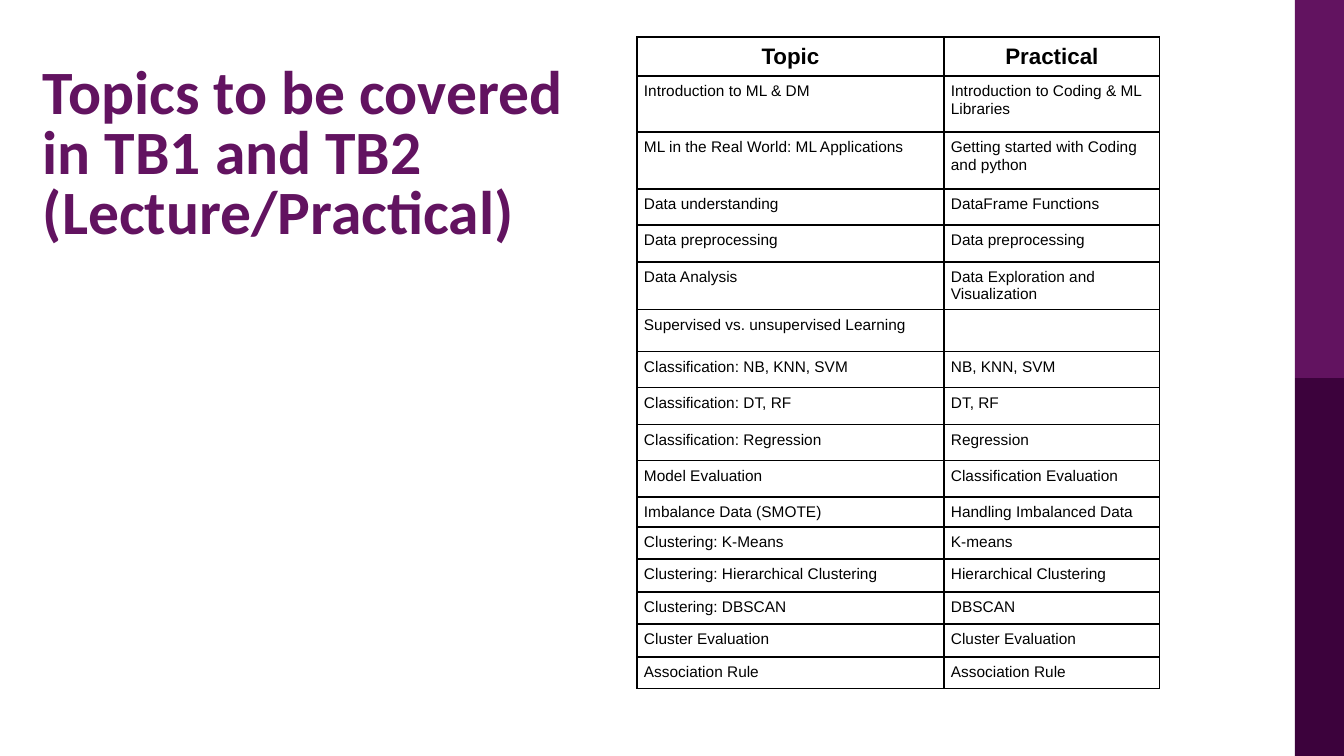
"""Build the slide listing lecture topics and practicals."""
from lxml import etree
from pptx import Presentation
from pptx import util as u
from pptx.dml.color import RGBColor
from pptx.enum import shapes, text
from pptx.oxml.ns import qn

HEADING = "Topics to be covered in TB1 and TB2 (Lecture/Practical)"
HEADERS = ("Topic", "Practical")
TB1 = [
    (39, *HEADERS),
    (56, "Introduction to ML & DM", "Introduction to Coding & ML Libraries"),
    (57, "ML in the Real World: ML Applications", "Getting started with Coding and python"),
    (36, "Data understanding", "DataFrame Functions"),
    (37, "Data preprocessing", "Data preprocessing"),
    (48, "Data Analysis", "Data Exploration and Visualization"),
    (42, "Supervised vs. unsupervised Learning", ""),
    (36, "Classification: NB, KNN, SVM", "NB, KNN, SVM"),
    (37, "Classification: DT, RF", "DT, RF"),
    (36, "Classification: Regression", "Regression"),
    (36, "Model Evaluation", "Classification Evaluation"),
]
TB2 = [
    (30, "Imbalance Data (SMOTE)", "Handling Imbalanced Data"),
    (32, "Clustering: K-Means", "K-means"),
    (33, "Clustering: Hierarchical Clustering", "Hierarchical Clustering"),
    (32, "Clustering: DBSCAN", "DBSCAN"),
    (33, "Cluster Evaluation", "Cluster Evaluation"),
    (32, "Association Rule", "Association Rule"),
]
COLUMNS = (307, 216)
TABLE_LEFT, TABLE_TOP = 637, 37
PADDING, PADDING_BOTTOM = 7, 3

PURPLE = RGBColor(0x62, 0x13, 0x60)
DARK_PURPLE = RGBColor(0x3C, 0x02, 0x3C)
BLACK = RGBColor(0, 0, 0)
BANDS = [(0, 378, PURPLE), (378, 378, DARK_PURPLE)]


def px(length):
    return u.Emu(round(length * 914400 / 100.8))


def add_run(paragraph, words, font, size, color, bold):
    run = paragraph.add_run()
    run.text = words
    run.font.name, run.font.size, run.font.bold = font, u.Pt(size), bold
    run.font.color.rgb = color


def add_borders(cell):
    properties = cell._tc.get_or_add_tcPr()
    for position, side in enumerate(("lnL", "lnR", "lnT", "lnB")):
        border = etree.Element(qn(f"a:{side}"), w=str(u.Pt(1)))
        fill = etree.SubElement(border, qn("a:solidFill"))
        etree.SubElement(fill, qn("a:srgbClr"), val=str(BLACK))
        properties.insert(position, border)


def add_topics(slide, top, topics):
    height = sum(row[0] for row in topics)
    table = slide.shapes.add_table(
        len(topics), len(COLUMNS), px(TABLE_LEFT), px(top), px(sum(COLUMNS)), px(height)).table
    table.first_row = topics[0][1:] == HEADERS
    table.horz_banding = False
    for column, width in zip(table.columns, COLUMNS):
        column.width = px(width)
    for row, (row_height, *entries) in zip(table.rows, topics):
        row.height = px(row_height)
        header = tuple(entries) == HEADERS
        for cell, entry in zip(row.cells, entries):
            cell.fill.background()
            cell.margin_left = cell.margin_right = cell.margin_top = px(PADDING)
            cell.margin_bottom = px(PADDING_BOTTOM)
            add_borders(cell)
            paragraph = cell.text_frame.paragraphs[0]
            paragraph.alignment = text.PP_ALIGN.CENTER if header else text.PP_ALIGN.LEFT
            if entry:
                add_run(paragraph, entry, "Arial", 16 if header else 11, BLACK, header)
    return top + height


def main():
    deck = Presentation()
    deck.slide_width, deck.slide_height = px(1344), px(756)
    slide = deck.slides.add_slide(deck.slide_layouts[6])

    for top, height, color in BANDS:
        band = slide.shapes.add_shape(
            shapes.MSO_SHAPE.RECTANGLE, px(1295), px(top), px(49), px(height))
        band.shadow.inherit = False
        band.fill.solid()
        band.fill.fore_color.rgb = color
        band.line.fill.background()

    heading = slide.shapes.add_textbox(px(33), px(62), px(579), px(362)).text_frame
    heading.word_wrap = True
    heading.vertical_anchor = text.MSO_ANCHOR.TOP
    heading.paragraphs[0].line_spacing = 0.81
    add_run(heading.paragraphs[0], HEADING, "Calibri", 44, PURPLE, True)

    tb1_bottom = add_topics(slide, TABLE_TOP, TB1)
    add_topics(slide, tb1_bottom, TB2)
    deck.save("out.pptx")


if __name__ == "__main__":
    main()
